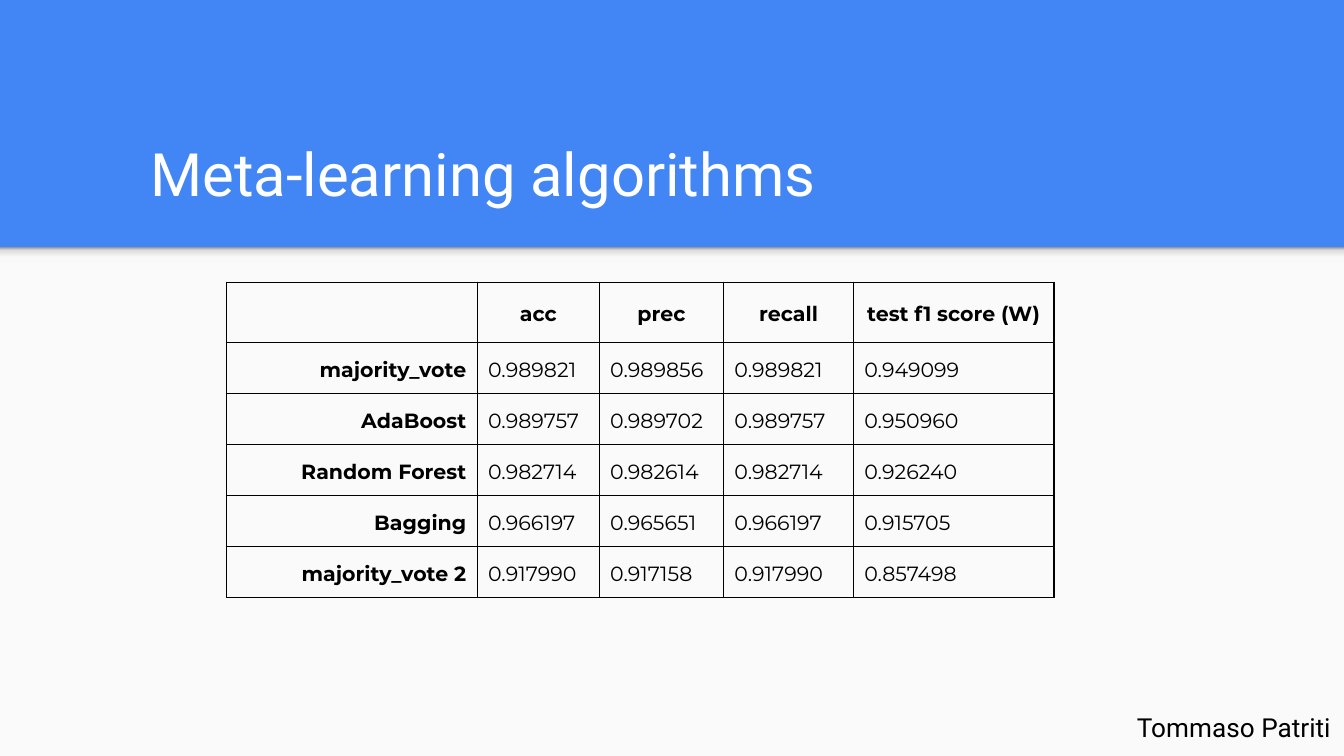
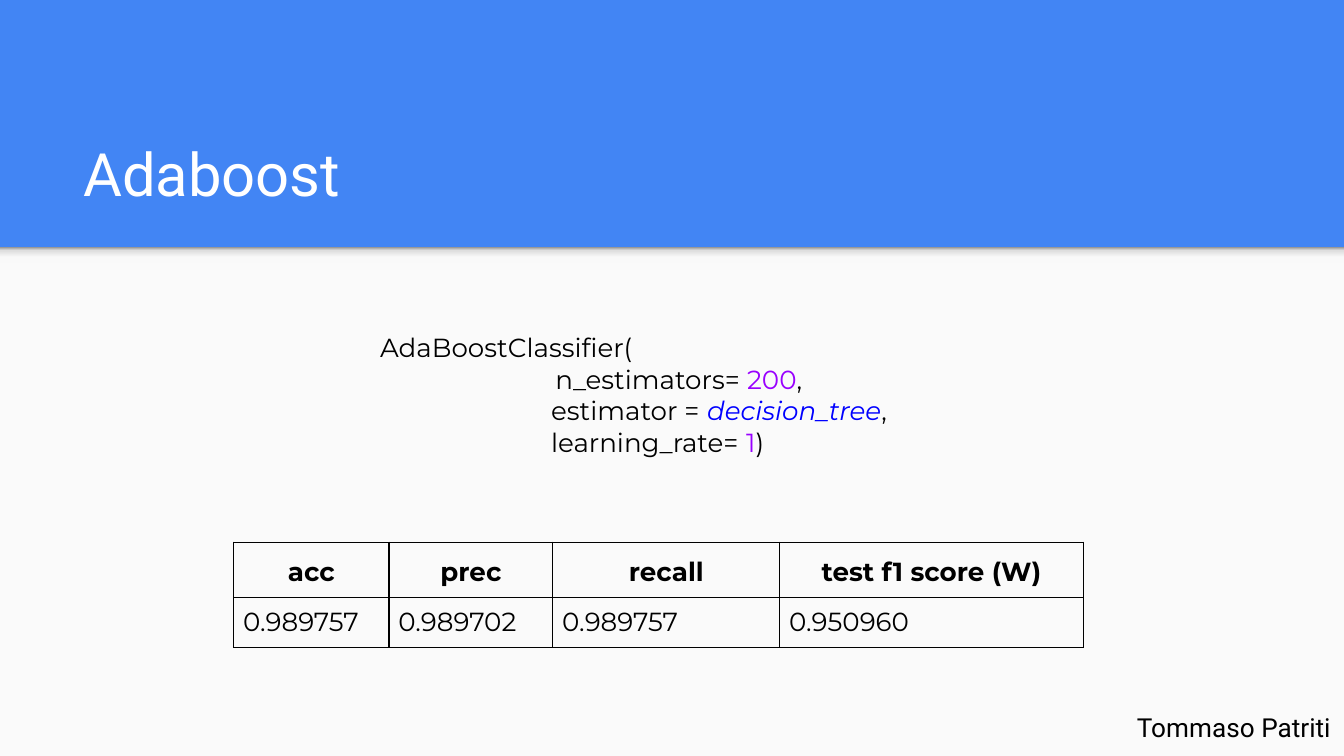
from lxml import etree
from pptx import Presentation
from pptx.dml.color import RGBColor
from pptx.enum.shapes import MSO_SHAPE
from pptx.enum.text import MSO_ANCHOR, PP_ALIGN
from pptx.oxml import parse_xml
from pptx.oxml.ns import nsdecls, qn
from pptx.util import Pt

RECTANGLE = MSO_SHAPE.RECTANGLE
LEFT, CENTER, RIGHT = PP_ALIGN.LEFT, PP_ALIGN.CENTER, PP_ALIGN.RIGHT
TOP, MIDDLE, BOTTOM = MSO_ANCHOR.TOP, MSO_ANCHOR.MIDDLE, MSO_ANCHOR.BOTTOM

COLORS = {
    "band": "4285F4",
    "panel": "FAFAFA",
    "title": "FFFFFF",
    "text": "000000",
    "number": "9900FF",
    "variable": "0000FF",
}
SHADOW_STOPS = [(0, "F9F9F9"), (36, "F9F9F9"), (80, "DEDEDE"), (100, "999999")]
TITLE_FONT, BODY_FONT = "Roboto", "Montserrat"
SLIDE_W, SLIDE_H = 720, 405
BAND_H = 132.5
BOX_INSET = 7.2

SCORES = ["acc", "prec", "recall", "test f1 score (W)"]
ADABOOST_SCORES = ["0.989757", "0.989702", "0.989757", "0.950960"]
MODEL_ROWS = [
    ["", *SCORES],
    ["majority_vote", "0.989821", "0.989856", "0.989821", "0.949099"],
    ["AdaBoost", *ADABOOST_SCORES],
    ["Random Forest", "0.982714", "0.982614", "0.982714", "0.926240"],
    ["Bagging", "0.966197", "0.965651", "0.966197", "0.915705"],
    ["majority_vote 2", "0.917990", "0.917158", "0.917990", "0.857498"],
]
ARGUMENT_INDENT = " " * 25
CLASSIFIER_CALL = [
    [("AdaBoostClassifier(", {})],
    [("      n_estimators= ", {}), ("200", {"color": "number"}), (",", {})],
    [(ARGUMENT_INDENT + "estimator = ", {}),
     ("decision_tree", {"color": "variable", "italic": True}), (",", {})],
    [(ARGUMENT_INDENT + "learning_rate= ", {}), ("1", {"color": "number"}), (")", {})],
]


def rgb(name):
    return RGBColor.from_string(COLORS[name])


def write(paragraph, text, font=BODY_FONT, size=14, color="text", bold=False,
          italic=False, align=LEFT, spacing=None, indent=0):
    """Add one formatted run to a paragraph."""
    paragraph.alignment = align
    if spacing:
        paragraph.line_spacing = spacing
    if indent:
        paragraph._p.get_or_add_pPr().set("marL", str(Pt(indent)))
    run = paragraph.add_run()
    run.text = text
    run.font.name, run.font.size = font, Pt(size)
    run.font.bold, run.font.italic = bold, italic
    run.font.color.rgb = rgb(color)


def set_margins(target, inset):
    target.margin_left = target.margin_right = Pt(inset)
    target.margin_top = target.margin_bottom = Pt(inset)


def add_text_frame(slide, left, top, width, height, anchor=TOP):
    frame = slide.shapes.add_textbox(Pt(left), Pt(top), Pt(width), Pt(height)).text_frame
    frame.word_wrap = True
    frame.vertical_anchor = anchor
    set_margins(frame, BOX_INSET)
    return frame


def add_rectangle(slide, top, height):
    rectangle = slide.shapes.add_shape(RECTANGLE, 0, Pt(top), Pt(SLIDE_W), Pt(height))
    rectangle.shadow.inherit = False
    rectangle.line.fill.background()
    return rectangle


def add_band_shadow(slide):
    shadow = add_rectangle(slide, BAND_H, 8.6)
    stops = "".join(f'<a:gs pos="{pos * 1000}"><a:srgbClr val="{color}"/></a:gs>'
                    for pos, color in SHADOW_STOPS)
    gradient = parse_xml(f'<a:gradFill {nsdecls("a")}><a:gsLst>{stops}</a:gsLst>'
                         '<a:lin ang="16200000" scaled="0"/></a:gradFill>')
    shadow._element.spPr.find(qn("a:prstGeom")).addnext(gradient)


def add_titled_slide(prs, title, title_indent=0):
    slide = prs.slides.add_slide(prs.slide_layouts[6])
    # Blue band over a light panel
    background = slide.background.fill
    background.solid()
    background.fore_color.rgb = rgb("band")
    panel = add_rectangle(slide, BAND_H, SLIDE_H - BAND_H)
    panel.fill.solid()
    panel.fill.fore_color.rgb = rgb("panel")
    add_band_shadow(slide)
    # Title and author
    heading = add_text_frame(slide, 37.5, 58.3, 647, 60.5, anchor=BOTTOM)
    write(heading.paragraphs[0], title, font=TITLE_FONT, size=32, color="title",
          spacing=1.15, indent=title_indent)
    author = add_text_frame(slide, 582.5, 373.7, 137.5, 31.3)
    write(author.paragraphs[0], "Tommaso Patriti", font=TITLE_FONT, align=RIGHT)
    return slide


def add_borders(cell, width=0.75):
    properties = cell._tc.get_or_add_tcPr()
    for position, side in enumerate(("lnL", "lnR", "lnT", "lnB")):
        border = etree.Element(qn(f"a:{side}"), w=str(Pt(width)))
        fill = etree.SubElement(border, qn("a:solidFill"))
        etree.SubElement(fill, qn("a:srgbClr"), val=COLORS["text"])
        properties.insert(position, border)


def add_score_table(slide, left, top, rows, widths, heights, size, inset,
                    anchor=TOP, row_labels=False, value_spacing=None):
    table = slide.shapes.add_table(len(rows), len(widths), Pt(left), Pt(top),
                                   Pt(sum(widths)), Pt(sum(heights))).table
    table.first_row = table.horz_banding = False
    for column, width in zip(table.columns, widths):
        column.width = Pt(width)
    for r, (values, height) in enumerate(zip(rows, heights)):
        table.rows[r].height = Pt(height)
        for c, value in enumerate(values):
            cell = table.cell(r, c)
            cell.fill.background()
            add_borders(cell)
            if not value:
                continue
            set_margins(cell, inset)
            cell.vertical_anchor = anchor
            is_label = row_labels and c == 0
            align = CENTER if r == 0 else RIGHT if is_label else LEFT
            write(cell.text_frame.paragraphs[0], value, size=size, align=align,
                  bold=r == 0 or is_label,
                  spacing=1.15 if r == 0 else value_spacing)


def add_classifier_call(slide):
    frame = add_text_frame(slide, 196.5, 170.6, 328, 82)
    for i, pieces in enumerate(CLASSIFIER_CALL):
        paragraph = frame.add_paragraph() if i else frame.paragraphs[0]
        for text, style in pieces:
            write(paragraph, text, indent=72 if i == 1 else 0, **style)


def main():
    prs = Presentation()
    prs.slide_width, prs.slide_height = Pt(SLIDE_W), Pt(SLIDE_H)

    # Comparison of the algorithms
    comparison = add_titled_slide(prs, "Meta-learning algorithms", title_indent=36)
    add_score_table(comparison, 121.5, 151.2, MODEL_ROWS,
                    widths=[134.2, 65.4, 66.6, 69.6, 107.4],
                    heights=[32.2] + [27.4] * 5, size=11, inset=5.8,
                    anchor=MIDDLE, row_labels=True, value_spacing=1.15)

    # Adaboost settings and scores
    adaboost = add_titled_slide(prs, "Adaboost")
    add_score_table(adaboost, 125.2, 290.5, [SCORES, ADABOOST_SCORES],
                    widths=[83.2, 87.8, 121.6, 162.6], heights=[29.5, 26.8],
                    size=14, inset=5)
    add_classifier_call(adaboost)

    prs.save("out.pptx")


if __name__ == "__main__":
    main()
